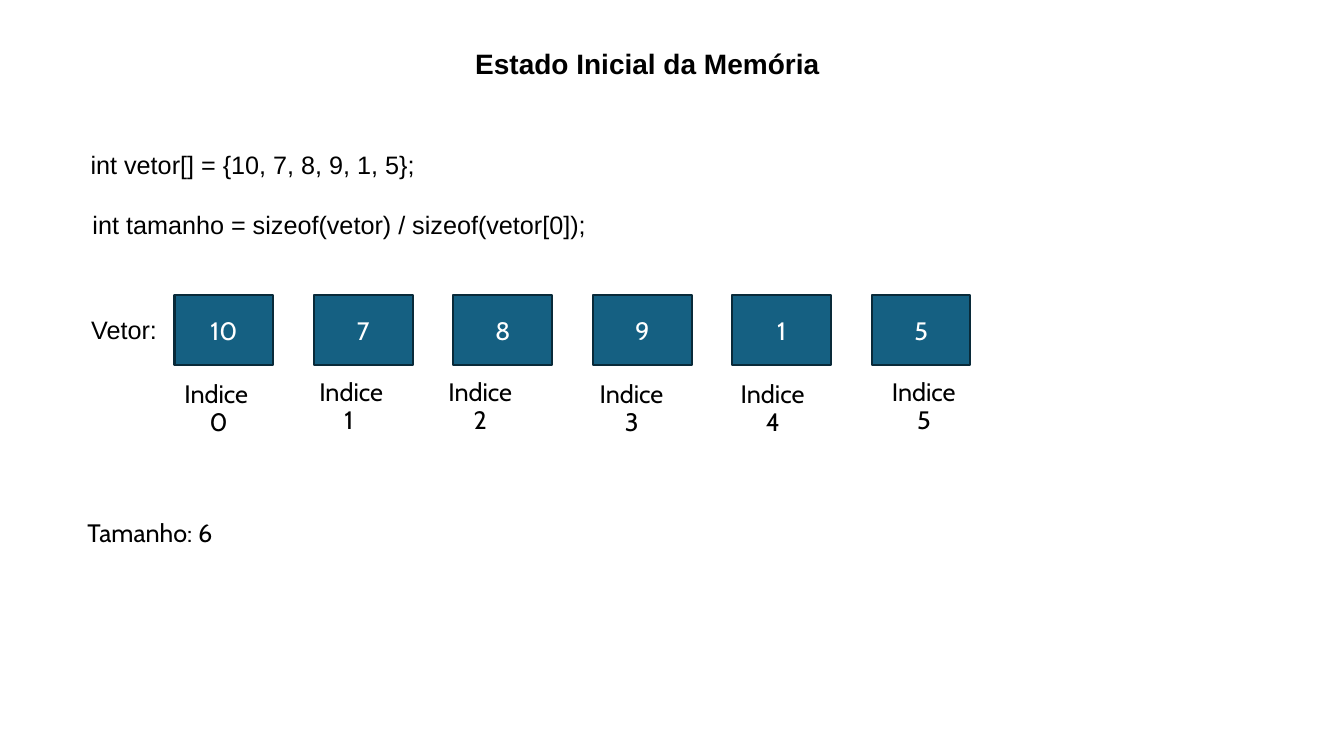
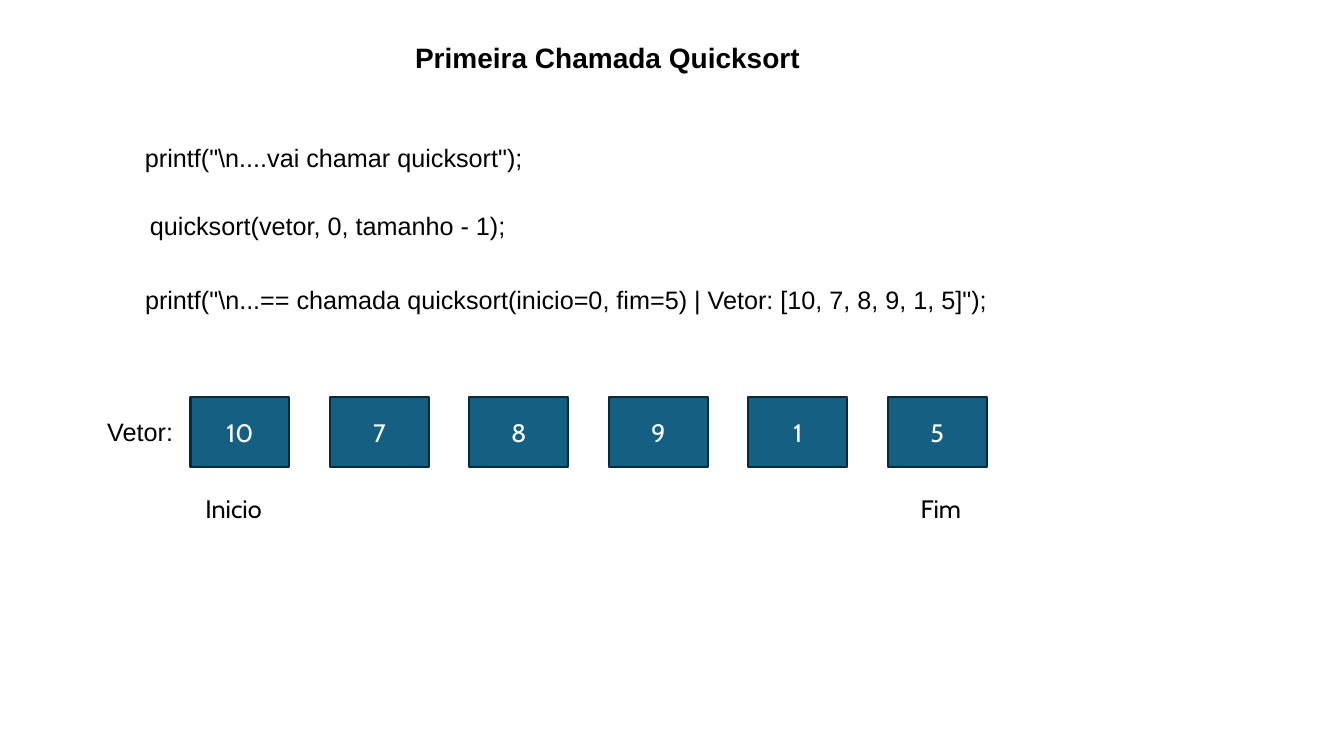
from pptx import Presentation
from pptx.dml.color import RGBColor
from pptx.enum.shapes import MSO_SHAPE
from pptx.enum.text import MSO_ANCHOR, MSO_AUTO_SIZE, PP_ALIGN
from pptx.util import Pt

COLORS = {"text": "000000", "cell": "156082", "border": "092A39", "value": "FFFFFF"}
CODE_FONT, LABEL_FONT = "Arial", "Cabin"
VALUES = [10, 7, 8, 9, 1, 5]
CELL_WIDTH, CELL_HEIGHT, CELL_PITCH = 70.6, 49.7, 99.6
LINE_HEIGHT = 29

SLIDES = [
    {
        "title": "Estado Inicial da Memória",
        "title_box": (160, 29.5, 605, 31.5),
        "code": [
            (57.6, 103, 771, "int vetor[] = {10, 7, 8, 9, 1, 5};"),
            (59, 146.2, 883, "int tamanho = sizeof(vetor) / sizeof(vetor[0]);"),
        ],
        "cells": (124.6, 211),
    },
    {
        "title": "Primeira Chamada Quicksort",
        "title_box": (132.5, 25.2, 603, 31.5),
        "code": [
            (96.5, 98, 451, 'printf("\\n....vai chamar quicksort");'),
            (100, 146.9, 446, "quicksort(vetor, 0, tamanho - 1);"),
            (96.5, 199.5, 624,
             'printf("\\n...== chamada quicksort(inicio=0, fim=5) | Vetor: [10, 7, 8, 9, 1, 5]");'),
        ],
        "cells": (136.1, 283.7),
    },
]
INDEX_LABELS = [(124.6, 268), (221, 266.4), (313.2, 266.4),
                (421.2, 268), (522, 268), (630, 266.4)]


def style_font(font, name, size=18, color="text", bold=False):
    font.name = name
    font.size = Pt(size)
    font.bold = bold
    font.color.rgb = RGBColor.from_string(COLORS[color])


def add_text(slide, left, top, width, height, text, font_name):
    box = slide.shapes.add_textbox(Pt(left), Pt(top), Pt(width), Pt(height))
    box.text_frame.word_wrap = True
    box.text_frame.text = text
    for paragraph in box.text_frame.paragraphs:
        style_font(paragraph.runs[0].font, font_name)
    return box.text_frame.paragraphs


presentation = Presentation()
presentation.slide_width, presentation.slide_height = Pt(960), Pt(540)
title_only = presentation.slide_layouts[5]

for content in SLIDES:
    slide = presentation.slides.add_slide(title_only)

    title = slide.shapes.title
    title.left, title.top, title.width, title.height = map(Pt, content["title_box"])
    title.text_frame.text = content["title"]
    title.text_frame.auto_size = MSO_AUTO_SIZE.NONE
    title.text_frame.vertical_anchor = MSO_ANCHOR.TOP
    paragraph = title.text_frame.paragraphs[0]
    paragraph.alignment = PP_ALIGN.CENTER
    style_font(paragraph.runs[0].font, CODE_FONT, size=20, bold=True)

    for left, top, width, code in content["code"]:
        add_text(slide, left, top, width, LINE_HEIGHT, code, CODE_FONT)

    cells_left, cells_top = content["cells"]
    add_text(slide, cells_left - 66.6, cells_top + 10.1, 66.6, LINE_HEIGHT, "Vetor:", CODE_FONT)
    for index, value in enumerate(VALUES):
        cell = slide.shapes.add_shape(
            MSO_SHAPE.RECTANGLE, Pt(cells_left + index * CELL_PITCH), Pt(cells_top),
            Pt(CELL_WIDTH), Pt(CELL_HEIGHT))
        cell.shadow.inherit = False
        cell.fill.solid()
        cell.fill.fore_color.rgb = RGBColor.from_string(COLORS["cell"])
        cell.line.color.rgb = RGBColor.from_string(COLORS["border"])
        cell.line.width = Pt(1.5)
        cell.text_frame.text = str(value)
        cell.text_frame.vertical_anchor = MSO_ANCHOR.MIDDLE
        paragraph = cell.text_frame.paragraphs[0]
        paragraph.alignment = PP_ALIGN.CENTER
        style_font(paragraph.runs[0].font, LABEL_FONT, color="value")

memory_slide, call_slide = presentation.slides

for index, (left, top) in enumerate(INDEX_LABELS):
    paragraphs = add_text(memory_slide, left, top, 80, 47.5, f"Indice\n{index}", LABEL_FONT)
    for paragraph in paragraphs:
        paragraph.line_spacing = Pt(20.2)
    paragraphs[1]._p.get_or_add_pPr().set("marL", str(Pt(18)))
add_text(memory_slide, 55.4, 365.8, 256, LINE_HEIGHT, "Tamanho: 6", LABEL_FONT)

for left, label in [(139.7, "Inicio"), (650.5, "Fim")]:
    add_text(call_slide, left, 348.5, 64, LINE_HEIGHT, label, LABEL_FONT)

presentation.save("out.pptx")
